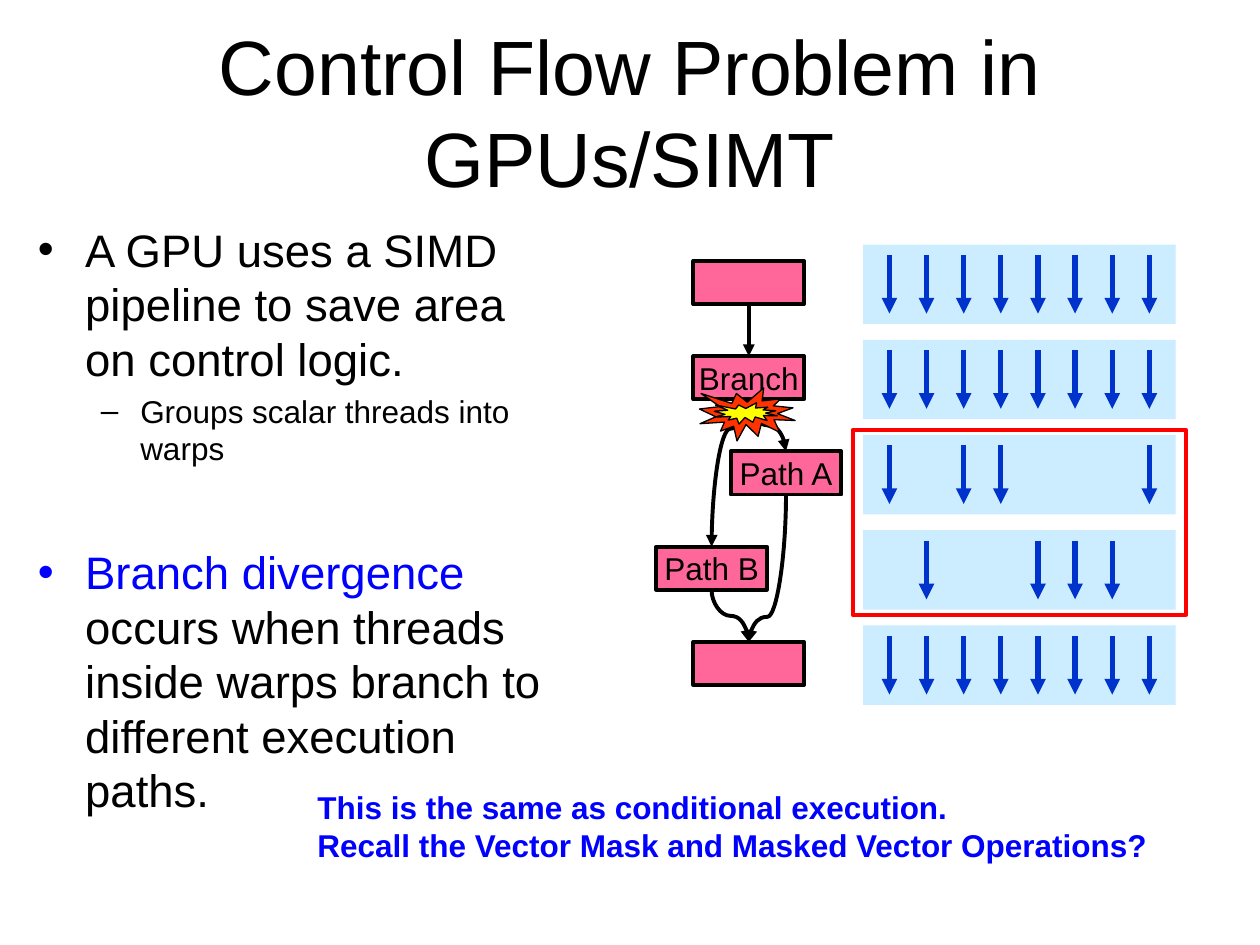
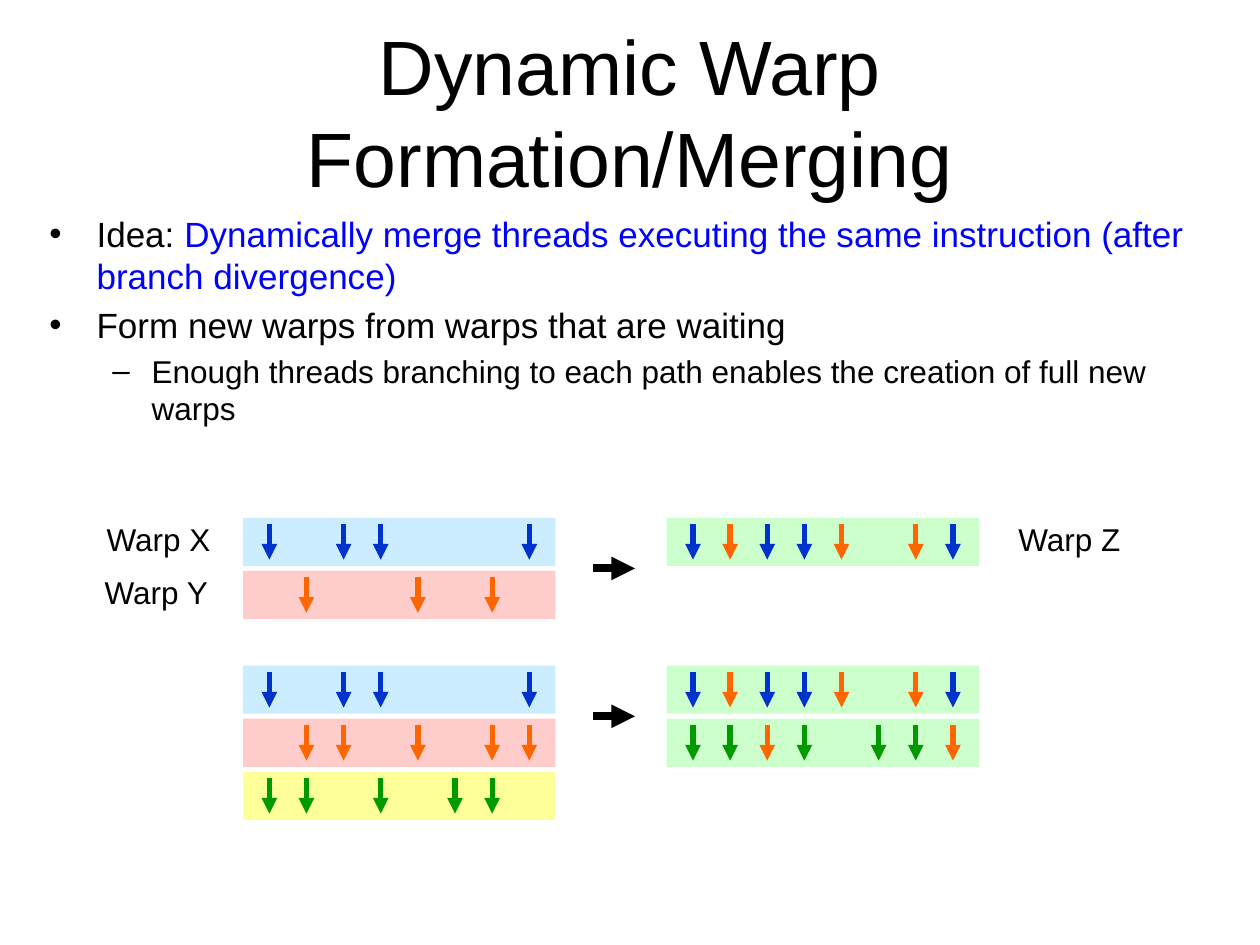
from lxml.etree import SubElement
from pptx import Presentation
from pptx.dml.color import RGBColor
from pptx.enum.shapes import MSO_CONNECTOR, MSO_SHAPE
from pptx.enum.text import MSO_ANCHOR, MSO_AUTO_SIZE, PP_ALIGN
from pptx.oxml.ns import qn
from pptx.util import Cm, Pt

FONT = "Arial"
BLACK, BLUE, RED = "000000", "0000FF", "FF0000"
PINK, SEAL_RED, SEAL_YELLOW = "FF6699", "FF3300", "FFFF00"
SKY, ROSE, LEMON, MINT = "CCECFF", "FFCCCC", "FFFF99", "CCFFCC"
THREAD_COLOURS = {"B": "0033CC", "O": "FF6600", "G": "009900"}

LANES = 8
LANE_MARGIN = 0.53
WARP_W = 6.3
FLOW_PITCH = 1.92
FLOW_WARP_H = 1.6
MERGE_PITCH = 1.07
MERGE_WARP_H = 0.97


def rgb(value):
    return RGBColor.from_string(value)


def set_all(obj, **values):
    for name, value in values.items():
        setattr(obj, name, value)


def place(sp, left, top, width, height):
    set_all(sp, left=Cm(left), top=Cm(top), width=Cm(width), height=Cm(height))


def write(tf, paragraphs, **paragraph_format):
    """Fill a frame; each paragraph is (runs, size, extra format), each run (text, colour)."""
    for i, (runs, size, extra) in enumerate(paragraphs):
        p = tf.paragraphs[0] if i == 0 else tf.add_paragraph()
        bold = extra.get("bold", False)
        rest = {k: v for k, v in extra.items() if k != "bold"}
        set_all(p, **paragraph_format, **rest)
        for text, colour in runs:
            r = p.add_run()
            r.text = text
            set_all(r.font, name=FONT, size=Pt(size), bold=bold)
            r.font.color.rgb = rgb(colour)


def add_box(shapes, kind, box, fill=None, line=None, weight=2.25):
    sp = shapes.add_shape(kind, *map(Cm, box))
    sp.shadow.inherit = False
    if fill:
        sp.fill.solid()
        sp.fill.fore_color.rgb = rgb(fill)
    else:
        sp.fill.background()
    if line:
        sp.line.color.rgb = rgb(line)
        sp.line.width = Pt(weight)
    else:
        sp.line.fill.background()
    return sp


def style_arrow(cxn, colour, weight):
    cxn.line.color.rgb = rgb(colour)
    cxn.line.width = Pt(weight)
    SubElement(cxn.line._get_or_add_ln(), qn("a:tailEnd"), type="triangle")
    SubElement(cxn._element.spPr, qn("a:effectLst"))


def add_arrow(shapes, x1, y1, x2, y2, colour=BLACK, weight=2.25):
    cxn = shapes.add_connector(MSO_CONNECTOR.STRAIGHT, *map(Cm, (x1, y1, x2, y2)))
    style_arrow(cxn, colour, weight)
    return cxn


def add_curve(shapes, upper, lower, bend):
    """Curve from the bottom of one box to the top of another, turning at the share bend."""
    x1, y1 = upper.left + upper.width // 2, upper.top + upper.height
    x2, y2 = lower.left + lower.width // 2, lower.top
    run, rise = y2 - y1, abs(x2 - x1)
    left, top = (x1 + x2 - run) // 2, (y1 + y2 - rise) // 2
    cxn = shapes.add_connector(MSO_CONNECTOR.CURVE, left, top, left + run, top + rise)
    spPr = cxn._element.spPr
    xfrm = spPr.find(qn("a:xfrm"))
    xfrm.set("rot", str((90 if x2 < x1 else 270) * 60000))
    if x2 > x1:
        xfrm.set("flipH", "1")
    SubElement(spPr.find(".//" + qn("a:avLst")), qn("a:gd"),
               name="adj1", fmla=f"val {round(bend * 100000)}")
    style_arrow(cxn, BLACK, 2.25)


def add_label(slide, box, paragraphs):
    tf = slide.shapes.add_textbox(*map(Cm, box)).text_frame
    tf.word_wrap = False
    write(tf, paragraphs)


def add_slide(prs, title, body_box, paragraphs):
    slide = prs.slides.add_slide(prs.slide_layouts[1])
    head, body = slide.placeholders
    place(head, 1.27, 0.64, 22.86, 3.18)
    place(body, *body_box)
    for sp in (head, body):
        sp.text_frame.auto_size = MSO_AUTO_SIZE.NONE
    write(head.text_frame, [([(title, BLACK)], 44, {})], alignment=PP_ALIGN.CENTER)
    write(body.text_frame, paragraphs)
    return slide


def add_warp(slide, left, top, height, threads, fill):
    """Band of lanes; each letter of threads is an arrow's colour, a dot an idle lane."""
    shapes = slide.shapes.add_group_shape().shapes
    add_box(shapes, MSO_SHAPE.RECTANGLE, (left, top, WARP_W, height), fill)
    pitch = (WARP_W - 2 * LANE_MARGIN) / (LANES - 1)
    for lane, thread in enumerate(threads):
        if thread in THREAD_COLOURS:
            x = left + LANE_MARGIN + lane * pitch
            add_arrow(shapes, x, top + 0.13 * height, x, top + 0.87 * height,
                      THREAD_COLOURS[thread], 3)


def add_warps(slide, left, top, height, pitch, warps):
    for row, (threads, fill) in enumerate(warps):
        add_warp(slide, left, top + row * pitch, height, threads, fill)


def add_flow_graph(slide, left, top):
    shapes = slide.shapes
    width, height, step = 2.23, 0.87, 0.75

    def block(column, row, text=""):
        sp = add_box(shapes, MSO_SHAPE.RECTANGLE,
                     (left + column * step, top + row * FLOW_PITCH, width, height), PINK, BLACK)
        if text:
            set_all(sp.text_frame, word_wrap=False, vertical_anchor=MSO_ANCHOR.MIDDLE)
            write(sp.text_frame, [([(text, BLACK)], 18, {})], alignment=PP_ALIGN.CENTER)
        return sp

    entry, branch = block(1, 0), block(1, 1, "Branch")
    path_a, path_b = block(2, 2, "Path A"), block(0, 3, "Path B")
    merge = block(1, 4)

    cxn = add_arrow(shapes, left, top, left, top + FLOW_PITCH)
    cxn.begin_connect(entry, 2)
    cxn.end_connect(branch, 0)
    for upper, lower, bend in ((branch, path_b, 0.2), (branch, path_a, 0.5),
                               (path_a, merge, 0.83), (path_b, merge, 0.5)):
        add_curve(shapes, upper, lower, bend)

    seal = shapes.add_group_shape().shapes
    x, y = left + 0.87, top + 2.56
    add_box(seal, MSO_SHAPE.EXPLOSION1, (x, y, 1.93, 1.07), SEAL_RED, BLACK, 0.75)
    add_box(seal, MSO_SHAPE.EXPLOSION1, (x + 0.3, y + 0.3, 1.27, 0.43), SEAL_YELLOW, BLACK, 0.75)


def add_flow_warps(slide, left, top):
    full = "B" * LANES
    masks = (full, full, "B.BB...B", ".B..BBB.", full)
    add_warps(slide, left, top, FLOW_WARP_H, FLOW_PITCH, [(m, SKY) for m in masks])
    gap = 0.21
    add_box(slide.shapes, MSO_SHAPE.RECTANGLE,
            (left - gap, top + 2 * FLOW_PITCH - gap / 2, WARP_W + 2 * gap,
             FLOW_PITCH + FLOW_WARP_H + gap), line=RED)


def add_merge(slide, left, top, before, after):
    """Warps before merging, an arrow, and the merged warps."""
    add_warps(slide, left, top, MERGE_WARP_H, MERGE_PITCH, before)
    add_warps(slide, left + 8.54, top, MERGE_WARP_H, MERGE_PITCH, after)
    middle = top + (MERGE_PITCH + MERGE_WARP_H) / 2
    add_arrow(slide.shapes, left + 7.06, middle, left + 7.9, middle, weight=4.5)


def build_control_flow(prs):
    slide = add_slide(prs, "Control Flow Problem in GPUs/SIMT", (0.51, 4.34, 11, 14.3), [
        ([("A GPU uses a SIMD pipeline to save area on control logic.", BLACK)], 26,
         {"space_before": Pt(0)}),
        ([("Groups scalar threads into warps", BLACK)], 18, {"level": 1}),
        ([("Branch divergence ", BLUE),
          ("occurs when threads inside warps branch to different execution paths.", BLACK)], 26,
         {"space_before": Pt(44)}),
    ])
    add_flow_warps(slide, 17.4, 4.93)
    add_flow_graph(slide, 13.23, 5.26)
    add_label(slide, (6.15, 15.77, 17.4, 1.8), [
        ([(text, BLUE)], 18, {"bold": True})
        for text in ("This is the same as conditional execution.",
                     "Recall the Vector Mask and Masked Vector Operations?")])


def build_warp_merging(prs):
    slide = add_slide(prs, "Dynamic Warp Formation/Merging", (0.74, 4.15, 23.93, 14.3), [
        ([("Idea: ", BLACK),
          ("Dynamically merge threads executing the same instruction (after branch divergence)",
           BLUE)], 20, {"space_before": Pt(0)}),
        ([("Form new warps from warps that are waiting", BLACK)], 20, {}),
        ([("Enough threads branching to each path enables the creation of full new warps",
           BLACK)], 18, {"level": 1}),
    ])
    left, top = 4.9, 10.44
    warp_x, warp_z = ("B.BB...B", SKY), ("BOBBO.OB", MINT)
    add_merge(slide, left, top, [warp_x, (".O..O.O.", ROSE)], [warp_z])
    add_merge(slide, left, top + 2.98,
              [warp_x, (".OO.O.OO", ROSE), ("GG.G.GG.", LEMON)],
              [warp_z, ("GGOG.GGO", MINT)])
    for text, x, row in (("Warp X", 1.9, 0), ("Warp Y", 1.86, 1), ("Warp Z", 20.28, 0)):
        add_label(slide, (x, top - 0.08 + row * MERGE_PITCH, 2.6, 1.02),
                  [([(text, BLACK)], 18, {})])


def main():
    prs = Presentation()
    set_all(prs, slide_width=Cm(25.4), slide_height=Cm(19.05))
    build_control_flow(prs)
    build_warp_merging(prs)
    prs.save("out.pptx")


if __name__ == "__main__":
    main()
